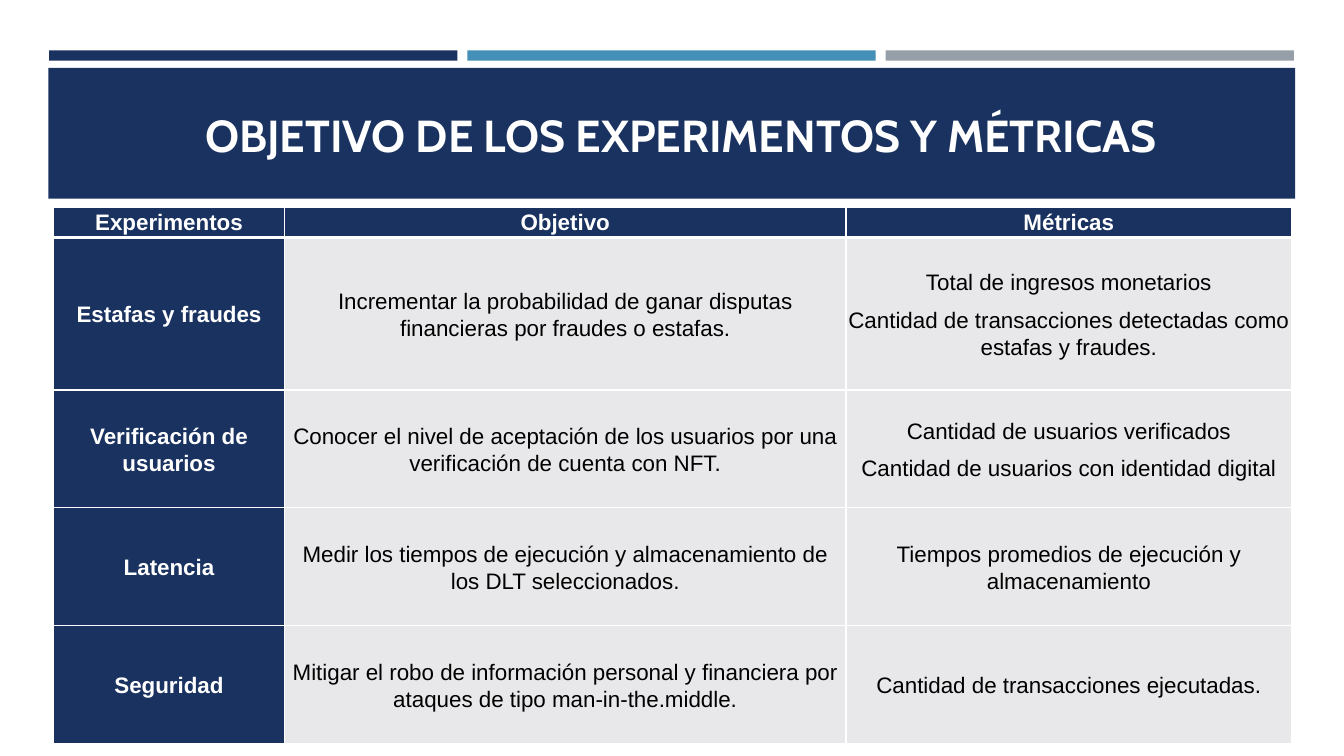
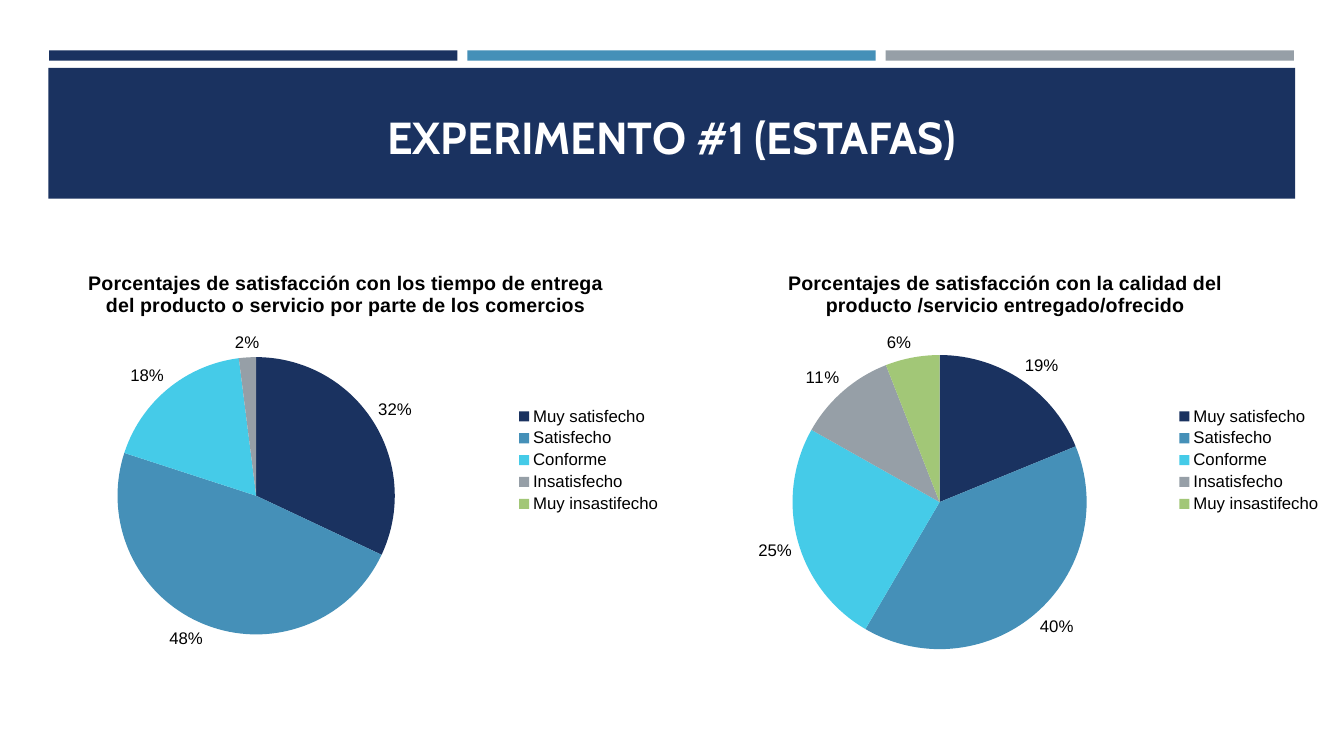
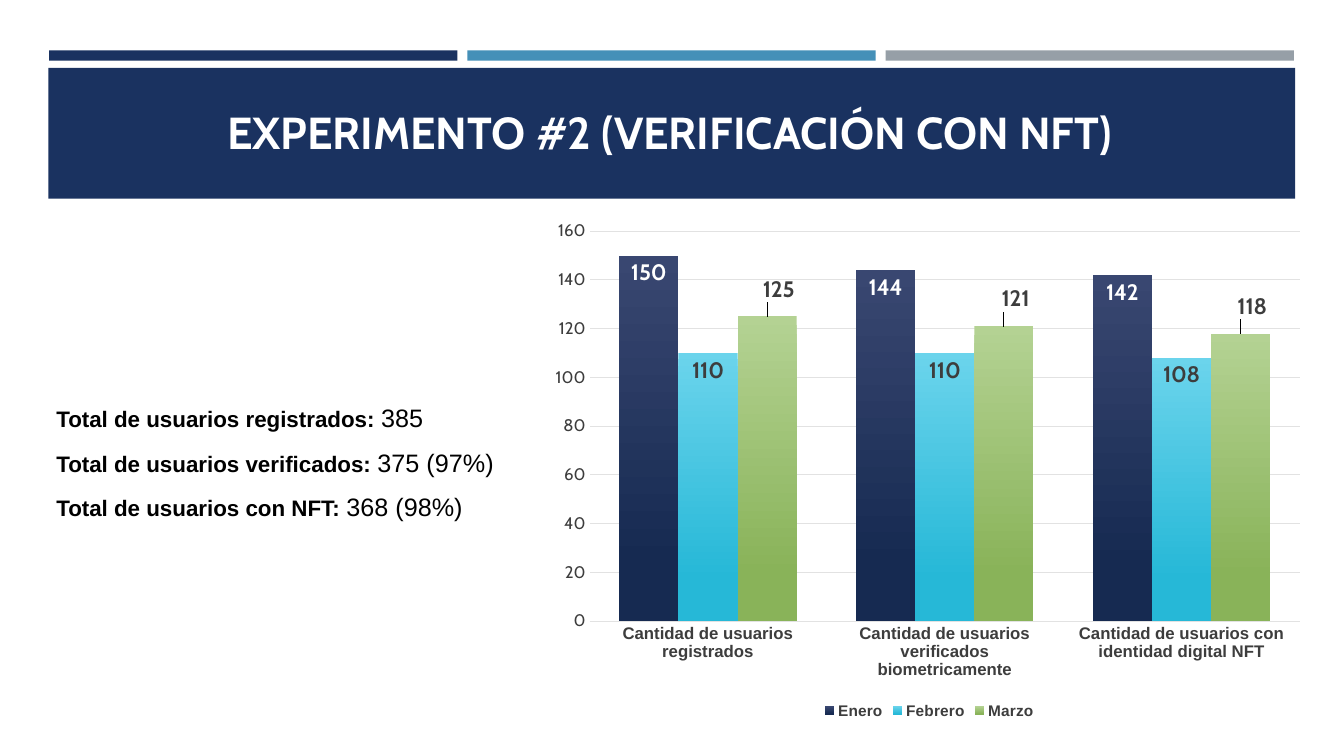
import pptx
import pptx.chart.data
import pptx.dml.color
import pptx.enum.chart
import pptx.enum.shapes
import pptx.enum.text
import pptx.oxml
import pptx.oxml.ns
import pptx.util
from pptx.util import Cm


class Theme:
    navy, blue, cyan, grey, green = "1A3260", "4590B8", "45CBE8", "969FA7", "A2C777"
    white, black, ink, grid, cell = "FFFFFF", "000000", "3D3D3D", "E2E2E2", "E8E8EA"
    heading, body = "Cabin", "Arial"
    title_size, value_size, text_size, chart_title_size = 32, 18, 16, 14
    chart_size, legend_size = 12, 11


SLIDE_SIZE = (33.87, 19.05)
BANDS = [Theme.navy, Theme.blue, Theme.grey]

OBJECTIVES = {
    "title": "OBJETIVO DE LOS EXPERIMENTOS Y MÉTRICAS",
    "title_at": (1.83, 2.06, 30.68, 2.13),
    "table_at": (1.35, 5.23),
    "columns": [5.82, 14.15, 11.23],
    "rows": [0.74, 3.84, 2.97, 2.97, 2.97],
    "cells": [
        ("Experimentos", "Objetivo", "Métricas"),
        ("Estafas y fraudes",
         "Incrementar la probabilidad de ganar disputas financieras por fraudes o estafas.",
         "Total de ingresos monetarios\n"
         "Cantidad de transacciones detectadas como estafas y fraudes."),
        ("Verificación de usuarios",
         "Conocer el nivel de aceptación de los usuarios por una verificación de cuenta con NFT.",
         "Cantidad de usuarios verificados\nCantidad de usuarios con identidad digital"),
        ("Latencia",
         "Medir los tiempos de ejecución y almacenamiento de los DLT seleccionados.",
         "Tiempos promedios de ejecución y almacenamiento"),
        ("Seguridad",
         "Mitigar el robo de información personal y financiera por ataques de tipo "
         "man-in-the.middle.",
         "Cantidad de transacciones ejecutadas."),
    ],
}

SCAMS = {
    "title": "EXPERIMENTO #1 (ESTAFAS)",
    "title_at": (1.22, 2.16, 31.42, 2.08),
    "answers": ["Muy satisfecho", "Satisfecho", "Conforme", "Insatisfecho", "Muy insastifecho"],
    "colours": [Theme.navy, Theme.blue, Theme.cyan, Theme.grey, Theme.green],
    "first_pie_at": (0.3, 6.3, 16.64, 10.59),
    "pies": [
        {"title": "Porcentajes de satisfacción con los tiempo de entrega "
                  "del producto o servicio por parte de los comercios",
         "values": [0.32, 0.48, 0.18, 0.02, 0],
         "title_spot": (0.11, 0.04), "plot_spot": (0.16, 0.25, 0.42, 0.67)},
        {"title": "Porcentajes de satisfacción con la calidad del "
                  "producto /servicio entregado/ofrecido",
         "values": [0.19, 0.4, 0.25, 0.11, 0.06],
         "title_spot": (0.17, 0.04), "plot_spot": (0.18, 0.25, 0.45, 0.7)},
    ],
}

VERIFICATION = {
    "title": "EXPERIMENTO #2 (VERIFICACIÓN CON NFT)",
    "title_at": (1.17, 1.88, 31.42, 2.24),
    "totals_at": (1.17, 10.02, 11.71, 4),
    "totals": [
        ("Total de usuarios registrados: ", "385"),
        ("Total de usuarios verificados: ", "375 (97%)"),
        ("Total de usuarios con NFT: ", "368 (98%)"),
    ],
    "chart_at": (13.69, 5.31, 19.46, 12.93),
    "plot_spot": (0.06, 0.04, 0.92, 0.76),
    "label_shift": (0.015, -0.02),
    "groups": ["Cantidad de usuarios registrados",
               "Cantidad de usuarios verificados biometricamente",
               "Cantidad de usuarios con identidad digital NFT"],
    "months": [
        ("Enero", [150, 144, 142], ("394771", "162A51"), Theme.white, True),
        ("Febrero", [110, 110, 108], ("6BD4EC", "26B8D7"), Theme.ink, True),
        ("Marzo", [125, 121, 118], ("B4D293", "89B359"), Theme.ink, False),
    ],
}


def rgb(colour):
    return pptx.dml.color.RGBColor.from_string(colour)


def lengths(values):
    return [Cm(value) for value in values]


def set_font(font, size, colour, bold=False, name=Theme.body):
    font.name, font.size, font.bold = name, pptx.util.Pt(size), bold
    font.color.rgb = rgb(colour)


def paint(target, colour):
    target.fill.solid()
    target.fill.fore_color.rgb = rgb(colour)


def add_block(page, place, colour):
    block = page.shapes.add_shape(pptx.enum.shapes.MSO_SHAPE.RECTANGLE, *lengths(place))
    block.shadow.inherit = False
    block.line.fill.background()
    paint(block, colour)


def add_box(page, place, anchor):
    frame = page.shapes.add_textbox(*lengths(place)).text_frame
    frame.word_wrap = True
    frame.vertical_anchor = anchor
    return frame


def start_page(deck, content):
    page = deck.slides.add_slide(deck.slide_layouts[6])
    for index, colour in enumerate(BANDS):
        add_block(page, (1.24 + index * 10.54, 1.27, 10.29, 0.26), colour)
    add_block(page, (1.22, 1.71, 31.42, 3.3), Theme.navy)
    frame = add_box(page, content["title_at"], pptx.enum.text.MSO_ANCHOR.BOTTOM)
    para = frame.paragraphs[0]
    para.text = content["title"]
    para.alignment = pptx.enum.text.PP_ALIGN.CENTER
    set_font(para.font, Theme.title_size, Theme.white, True, Theme.heading)
    return page


def set_layout(parent, spot, index, edge=True, inner=False):
    for old in parent.findall(pptx.oxml.ns.qn("c:layout")):
        parent.remove(old)
    settings = [("layoutTarget", "inner")] if inner else []
    if edge:
        settings += [("xMode", "edge"), ("yMode", "edge")]
    settings += zip("xywh", spot)
    marks = "".join(f'<c:{name} val="{value}"/>' for name, value in settings)
    parent.insert(index, pptx.oxml.parse_xml(
        f'<c:layout {pptx.oxml.ns.nsdecls("c")}><c:manualLayout>{marks}'
        "</c:manualLayout></c:layout>"))


def add_chart(page, kind, place, data, plot_spot, legend_position):
    chart = page.shapes.add_chart(kind, *lengths(place), data).chart
    set_font(chart.font, Theme.chart_size, Theme.black)
    chart.has_legend = True
    chart.legend.position = legend_position
    chart.legend.include_in_layout = False
    set_layout(chart.element.xpath(".//c:plotArea")[0], plot_spot, 0, inner=True)
    return chart


def set_borders(cell, row):
    widths = {"L": 1, "R": 1, "T": 3 if row == 1 else 1, "B": 3 if row == 0 else 1}
    properties = cell._tc.get_or_add_tcPr()
    for side, width in widths.items():
        properties.append(pptx.oxml.parse_xml(
            f'<a:ln{side} {pptx.oxml.ns.nsdecls("a")} w="{pptx.util.Pt(width)}"><a:solidFill>'
            f'<a:srgbClr val="{Theme.white}"/></a:solidFill></a:ln{side}>'))


def fill_cell(cell, text, row, column):
    heading = row == 0 or column == 0
    set_borders(cell, row)
    paint(cell, Theme.navy if heading else Theme.cell)
    cell.margin_left = cell.margin_right = cell.margin_top = Cm(0.03)
    cell.margin_bottom = 0
    if row:
        cell.vertical_anchor = pptx.enum.text.MSO_ANCHOR.MIDDLE
    cell.text_frame.text = text
    for para in cell.text_frame.paragraphs:
        para.alignment = pptx.enum.text.PP_ALIGN.CENTER
        para.line_spacing = 1.07
        para.space_after = pptx.util.Pt(8)
        set_font(para.font, Theme.text_size, Theme.white if heading else Theme.black, heading)


def build_objectives(deck):
    content = OBJECTIVES
    page = start_page(deck, content)
    columns, rows = content["columns"], content["rows"]
    place = (*content["table_at"], sum(columns), sum(rows))
    table = page.shapes.add_table(len(rows), len(columns), *lengths(place)).table
    table.first_row = table.horz_banding = False
    for column, width in zip(table.columns, columns):
        column.width = Cm(width)
    for row, height in zip(table.rows, rows):
        row.height = Cm(height)
    for row, texts in enumerate(content["cells"]):
        for column, text in enumerate(texts):
            fill_cell(table.cell(row, column), text, row, column)


def build_scams(deck):
    content = SCAMS
    page = start_page(deck, content)
    left, top, width, height = content["first_pie_at"]
    for index, pie in enumerate(content["pies"]):
        data = pptx.chart.data.CategoryChartData(number_format="0%")
        data.categories = content["answers"]
        data.add_series("Series 1", pie["values"])
        chart = add_chart(page, pptx.enum.chart.XL_CHART_TYPE.PIE,
                          (left + index * width, top, width, height), data,
                          pie["plot_spot"], pptx.enum.chart.XL_LEGEND_POSITION.RIGHT)
        set_font(chart.legend.font, Theme.chart_size, Theme.black)
        para = chart.chart_title.text_frame.paragraphs[0]
        para.text = pie["title"]
        set_font(para.font, Theme.chart_title_size, Theme.black, True)
        set_layout(chart.element.xpath(".//c:title")[0], pie["title_spot"], 1)
        chart.plots[0].vary_by_categories = True
        series = chart.plots[0].series[0]
        for point, colour in enumerate(content["colours"]):
            paint(series.points[point].format, colour)
        labels = series.data_labels
        labels.show_value = True
        labels.number_format, labels.number_format_is_linked = "0%;;", False
        labels.position = pptx.enum.chart.XL_LABEL_POSITION.OUTSIDE_END
        set_font(labels.font, Theme.chart_size, Theme.black)


def style_axes(chart):
    for axis, bold, name in ((chart.category_axis, True, Theme.body),
                             (chart.value_axis, False, Theme.heading)):
        axis.major_tick_mark = axis.minor_tick_mark = pptx.enum.chart.XL_TICK_MARK.NONE
        set_font(axis.tick_labels.font, Theme.chart_size, Theme.ink, bold, name)
    values = chart.value_axis
    values.minimum_scale, values.maximum_scale, values.major_unit = 0, 160, 20
    values.format.line.fill.background()
    for line in (chart.category_axis.format.line, values.major_gridlines.format.line):
        line.color.rgb = rgb(Theme.grid)
        line.width = pptx.util.Pt(0.75)


def style_month(series, shades, label_colour, inside):
    fill = series.format.fill
    fill.gradient()
    fill.gradient_angle = 270
    for stop, shade, position in zip(fill.gradient_stops, shades, (0, 0.84)):
        stop.color.rgb = rgb(shade)
        stop.position = position
    positions = pptx.enum.chart.XL_LABEL_POSITION
    targets = [series.data_labels]
    series.data_labels.show_value = True
    if not inside:
        targets += [series.points[index].data_label for index in range(len(series.values))]
    for labels in targets:
        labels.position = positions.INSIDE_END if inside else positions.OUTSIDE_END
        set_font(labels.font, Theme.text_size, label_colour, True, Theme.heading)


def build_verification(deck):
    content = VERIFICATION
    page = start_page(deck, content)
    frame = add_box(page, content["totals_at"], pptx.enum.text.MSO_ANCHOR.TOP)
    for index, (label, value) in enumerate(content["totals"]):
        para = frame.add_paragraph() if index else frame.paragraphs[0]
        para.space_after = pptx.util.Pt(10)
        for text, size, bold in ((label, Theme.text_size, True),
                                 (value, Theme.value_size, False)):
            span = para.add_run()
            span.text = text
            set_font(span.font, size, Theme.black, bold)

    data = pptx.chart.data.CategoryChartData()
    data.categories = content["groups"]
    for name, values, *_ in content["months"]:
        data.add_series(name, values)
    chart = add_chart(page, pptx.enum.chart.XL_CHART_TYPE.COLUMN_CLUSTERED,
                      content["chart_at"], data, content["plot_spot"],
                      pptx.enum.chart.XL_LEGEND_POSITION.BOTTOM)
    chart.has_title = False
    set_font(chart.legend.font, Theme.legend_size, Theme.ink, True)
    style_axes(chart)
    plot = chart.plots[0]
    plot.vary_by_categories = False
    plot.gap_width = 100
    for series, (_, _, shades, label_colour, inside) in zip(plot.series, content["months"]):
        style_month(series, shades, label_colour, inside)
    for label in chart.element.xpath(".//c:dLbl"):
        set_layout(label, content["label_shift"], 1, edge=False)


def main():
    deck = pptx.Presentation()
    deck.slide_width, deck.slide_height = lengths(SLIDE_SIZE)
    for build in (build_objectives, build_scams, build_verification):
        build(deck)
    deck.save("out.pptx")


if __name__ == "__main__":
    main()
